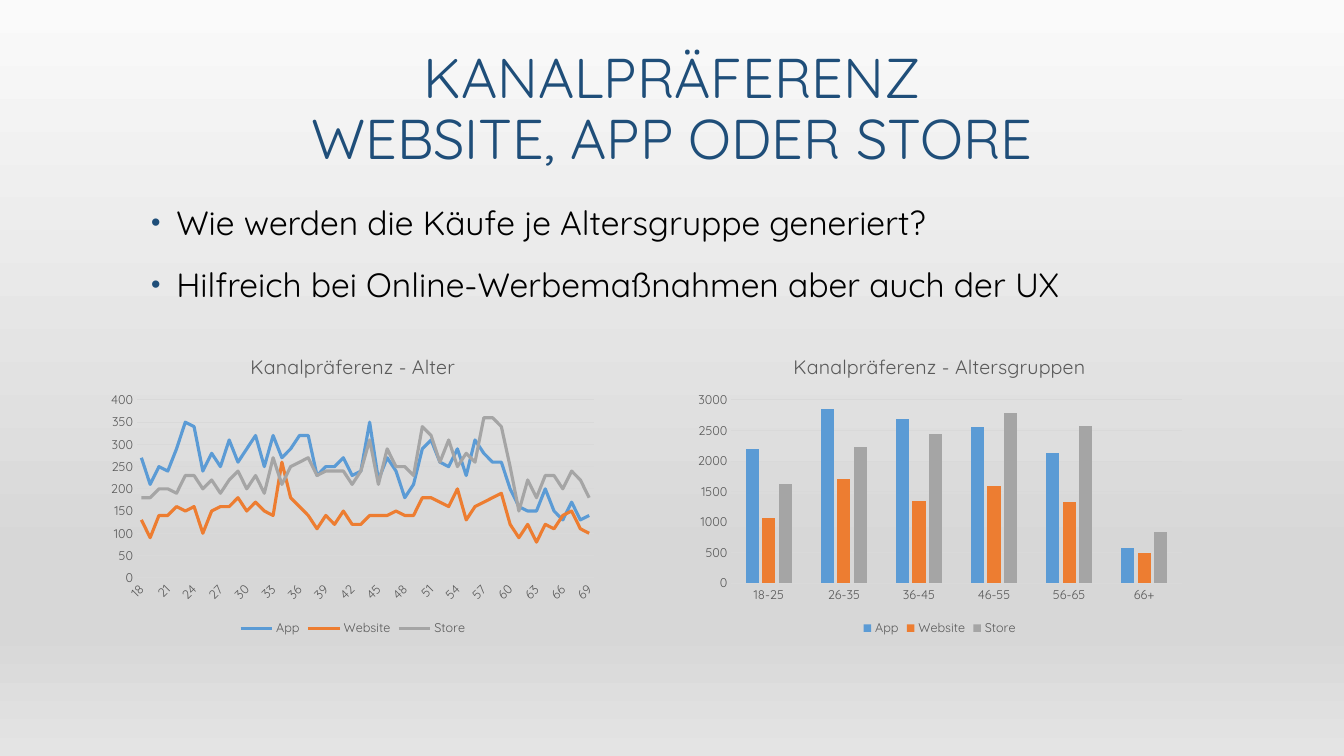
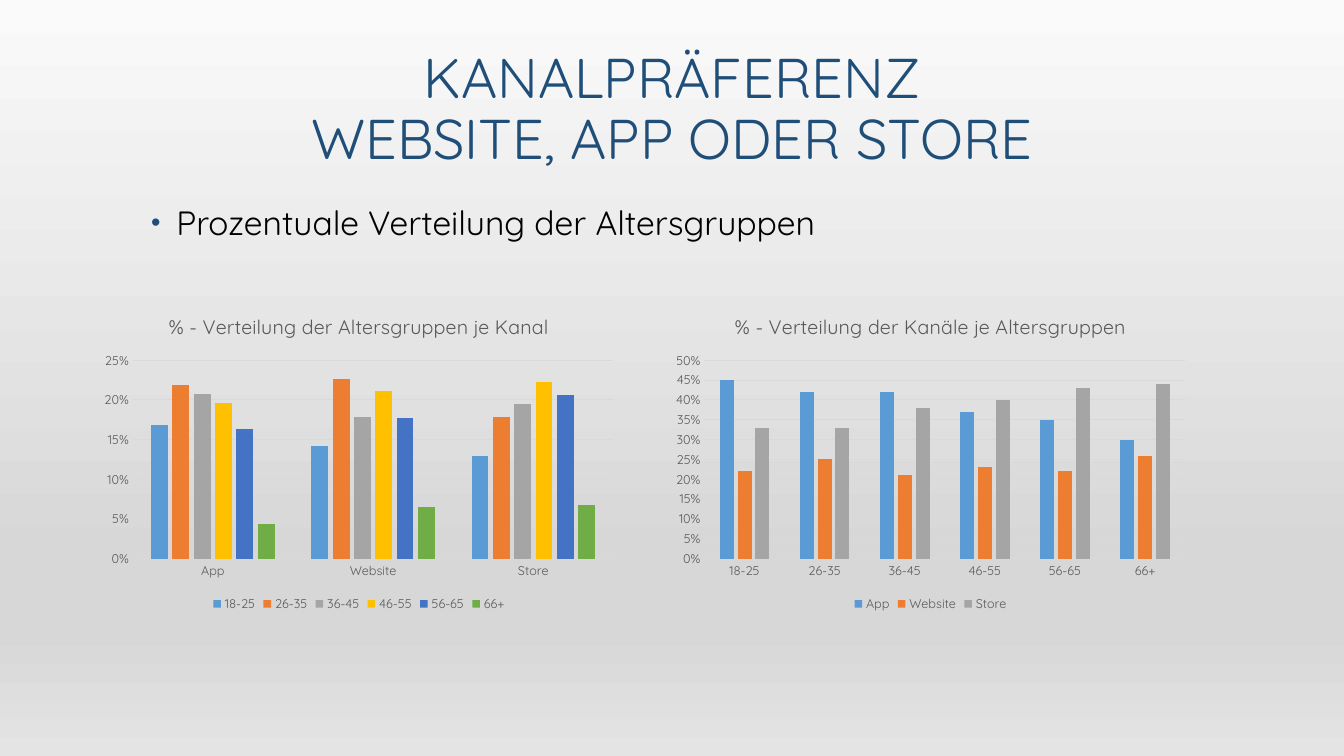
from dataclasses import dataclass

from lxml import etree
from pptx import Presentation
from pptx.chart.chart import Chart
from pptx.chart.data import CategoryChartData
from pptx.dml.color import RGBColor
from pptx.enum import chart as ce, text
from pptx.oxml import ns
from pptx.presentation import Presentation as Deck
from pptx.slide import Slide
from pptx.text.text import Font
from pptx.util import Inches, Pt

FONT = "Quicksand"
NAVY, BLACK, GREY, GRID = "1F4E79", "000000", "595959", "D9D9D9"
PALETTE = ["5B9BD5", "ED7D31", "A5A5A5", "FFC000", "4472C4", "70AD47"]
BACKGROUND_STOPS = [(0, "FAFAFA"), (74, "D7D7D7"), (83, "D7D7D7"), (100, "E4E4E4")]
NAMESPACES = {prefix: ns.nsdecls(prefix).split('"')[1] for prefix in ("a", "c")}

TITLE = "KANALPRÄFERENZ\vWEBSITE, APP ODER STORE"
CHANNELS = ["App", "Website", "Store"]
AGE_GROUPS = ["18-25", "26-35", "36-45", "46-55", "56-65", "66+"]
AGES = [str(age) for age in range(18, 70)]
LINE, COLUMN = ce.XL_CHART_TYPE.LINE, ce.XL_CHART_TYPE.COLUMN_CLUSTERED


@dataclass
class ChartPanel:
    title: str
    box: tuple[float, float, float, float]
    categories: list[str]
    series: dict[str, list[float]]
    axis_maximum: float
    axis_step: float
    kind: ce.XL_CHART_TYPE = COLUMN
    number_format: str = "General"


@dataclass
class ContentSlide:
    bullets: list[str]
    panels: list[ChartPanel]


SLIDES = [
    ContentSlide(
        ["Wie werden die Käufe je Altersgruppe generiert?",
         "Hilfreich bei Online-Werbemaßnahmen aber auch der UX"],
        [
            ChartPanel(
                "Kanalpräferenz - Alter", (1, 3.35, 5, 3), AGES,
                dict(zip(CHANNELS, [
                    [270, 210, 250, 240, 290, 350, 340, 240, 280, 250, 310, 260, 290,
                     320, 250, 320, 270, 290, 320, 320, 230, 250, 250, 270, 230, 240,
                     350, 220, 270, 240, 180, 210, 290, 310, 260, 250, 290, 230, 310,
                     280, 260, 260, 200, 160, 150, 150, 200, 150, 130, 170, 130, 140],
                    [130, 90, 140, 140, 160, 150, 160, 100, 150, 160, 160, 180, 150,
                     170, 150, 140, 260, 180, 160, 140, 110, 140, 120, 150, 120, 120,
                     140, 140, 140, 150, 140, 140, 180, 180, 170, 160, 200, 130, 160,
                     170, 180, 190, 120, 90, 120, 80, 120, 110, 140, 150, 110, 100],
                    [180, 180, 200, 200, 190, 230, 230, 200, 220, 190, 220, 240, 200,
                     230, 190, 270, 210, 250, 260, 270, 230, 240, 240, 240, 210, 240,
                     310, 210, 290, 250, 250, 230, 340, 320, 260, 310, 250, 280, 260,
                     360, 360, 340, 250, 150, 220, 180, 230, 230, 200, 240, 220, 180],
                ])),
                400, 50, kind=LINE,
            ),
            ChartPanel(
                "Kanalpräferenz - Altersgruppen", (6.82, 3.35, 5, 3), AGE_GROUPS,
                dict(zip(CHANNELS, [
                    [2200, 2850, 2690, 2550, 2130, 570],
                    [1070, 1710, 1350, 1590, 1330, 490],
                    [1620, 2230, 2440, 2780, 2580, 840],
                ])),
                3000, 500,
            ),
        ],
    ),
    ContentSlide(
        ["Prozentuale Verteilung der Altersgruppen"],
        [
            ChartPanel(
                "% - Verteilung der Altersgruppen je Kanal", (0.93, 2.95, 5.26, 3.16), CHANNELS,
                dict(zip(AGE_GROUPS, [
                    [0.169, 0.142, 0.13],
                    [0.219, 0.226, 0.178],
                    [0.207, 0.179, 0.195],
                    [0.196, 0.211, 0.222],
                    [0.164, 0.177, 0.206],
                    [0.044, 0.065, 0.067],
                ])),
                0.25, 0.05, number_format="0%",
            ),
            ChartPanel(
                "% - Verteilung der Kanäle je Altersgruppen", (6.6, 2.95, 5.26, 3.16), AGE_GROUPS,
                dict(zip(CHANNELS, [
                    [0.45, 0.42, 0.42, 0.37, 0.35, 0.3],
                    [0.22, 0.25, 0.21, 0.23, 0.22, 0.26],
                    [0.33, 0.33, 0.38, 0.4, 0.43, 0.44],
                ])),
                0.5, 0.05, number_format="0%",
            ),
        ],
    ),
]


def rgb(color: str) -> RGBColor:
    return RGBColor.from_string(color)


def style_font(font: Font, size: float, color: str) -> None:
    font.name, font.size, font.bold = FONT, Pt(size), False
    font.color.rgb = rgb(color)


def add_element(parent: etree._Element, tag: str, **attributes: str) -> etree._Element:
    return etree.SubElement(parent, ns.qn(tag), attributes)


def set_background(presentation: Deck) -> None:
    """Give the master a vertical gradient, which every slide inherits."""
    master = presentation.slide_master
    fill = master.background.fill
    fill.gradient()
    fill.gradient_angle = 270
    stops = master.element.find(".//a:gsLst", NAMESPACES)
    for stop in list(stops):
        stops.remove(stop)
    for percent, color in BACKGROUND_STOPS:
        stop = add_element(stops, "a:gs", pos=str(percent * 1000))
        add_element(stop, "a:srgbClr", val=color)


def set_title(slide: Slide) -> None:
    title = slide.shapes.title
    title.left, title.top = Inches(1.33), Inches(0.3)
    title.width, title.height = Inches(10.67), Inches(1.45)
    frame = title.text_frame
    frame.text = TITLE
    frame.auto_size = text.MSO_AUTO_SIZE.NONE
    frame.vertical_anchor = text.MSO_ANCHOR.BOTTOM
    paragraph = frame.paragraphs[0]
    paragraph.alignment = text.PP_ALIGN.CENTER
    paragraph.line_spacing = 0.9
    for run in paragraph.runs:
        style_font(run.font, 40, NAVY)


def add_bullets(slide: Slide, bullets: list[str]) -> None:
    box = slide.shapes.add_textbox(Inches(1.35), Inches(2), Inches(11.69), Inches(4.75))
    frame = box.text_frame
    frame.word_wrap = True
    frame.text = "\n".join(bullets)
    for paragraph in frame.paragraphs:
        paragraph.line_spacing = 0.9
        paragraph.space_before = Pt(18)
        style_font(paragraph.runs[0].font, 24, BLACK)
        properties = paragraph._p.get_or_add_pPr()
        properties.set("marL", str(Inches(0.3)))
        properties.set("indent", str(Inches(-0.25)))
        add_element(add_element(properties, "a:buClr"), "a:srgbClr", val=NAVY)
        add_element(properties, "a:buSzPct", val="80000")
        add_element(properties, "a:buFont", typeface="Arial")
        add_element(properties, "a:buChar", char="•")


def style_axes(chart: Chart, panel: ChartPanel) -> None:
    categories, values = chart.category_axis, chart.value_axis
    for axis in (categories, values):
        axis.major_tick_mark = axis.minor_tick_mark = ce.XL_TICK_MARK.NONE
        style_font(axis.tick_labels.font, 9, GREY)
    values.minimum_scale, values.maximum_scale = 0, panel.axis_maximum
    values.major_unit = panel.axis_step
    values.tick_labels.number_format = panel.number_format
    values.tick_labels.number_format_is_linked = False
    values.format.line.fill.background()
    for line in (categories.format.line, values.major_gridlines.format.line):
        line.color.rgb = rgb(GRID)
        line.width = Pt(0.75)
    # This angle lets the renderer turn crowded labels by itself.
    chart.element.find(".//c:catAx/c:txPr/a:bodyPr", NAMESPACES).set("rot", "-60000000")


def style_series(chart: Chart, kind: ce.XL_CHART_TYPE) -> None:
    plot = chart.plots[0]
    plot.vary_by_categories = False
    if kind == COLUMN:
        plot.gap_width, plot.overlap = 219, -27
    for series, color in zip(plot.series, PALETTE):
        if kind == LINE:
            series.smooth = False
            series.marker.style = ce.XL_MARKER_STYLE.NONE
            series.format.line.color.rgb = rgb(color)
            series.format.line.width = Pt(2.25)
        else:
            series.format.fill.solid()
            series.format.fill.fore_color.rgb = rgb(color)


def add_panel(slide: Slide, panel: ChartPanel) -> None:
    data = CategoryChartData(number_format=panel.number_format)
    data.categories = panel.categories
    for name, values in panel.series.items():
        data.add_series(name, values)
    chart = slide.shapes.add_chart(panel.kind, *map(Inches, panel.box), data).chart
    style_font(chart.font, 10, BLACK)
    chart.has_title = True
    chart.chart_title.include_in_layout = False
    chart.chart_title.text_frame.text = panel.title
    style_font(chart.chart_title.text_frame.paragraphs[0].runs[0].font, 14, GREY)
    chart.has_legend = True
    chart.legend.position = ce.XL_LEGEND_POSITION.BOTTOM
    chart.legend.include_in_layout = False
    style_font(chart.legend.font, 9, GREY)
    style_axes(chart, panel)
    style_series(chart, panel.kind)


def main() -> None:
    presentation = Presentation()
    presentation.slide_width, presentation.slide_height = Inches(13.33), Inches(7.5)
    set_background(presentation)
    title_only = presentation.slide_layouts.get_by_name("Title Only")
    for content in SLIDES:
        slide = presentation.slides.add_slide(title_only)
        set_title(slide)
        add_bullets(slide, content.bullets)
        for panel in content.panels:
            add_panel(slide, panel)
    presentation.save("out.pptx")


if __name__ == "__main__":
    main()
